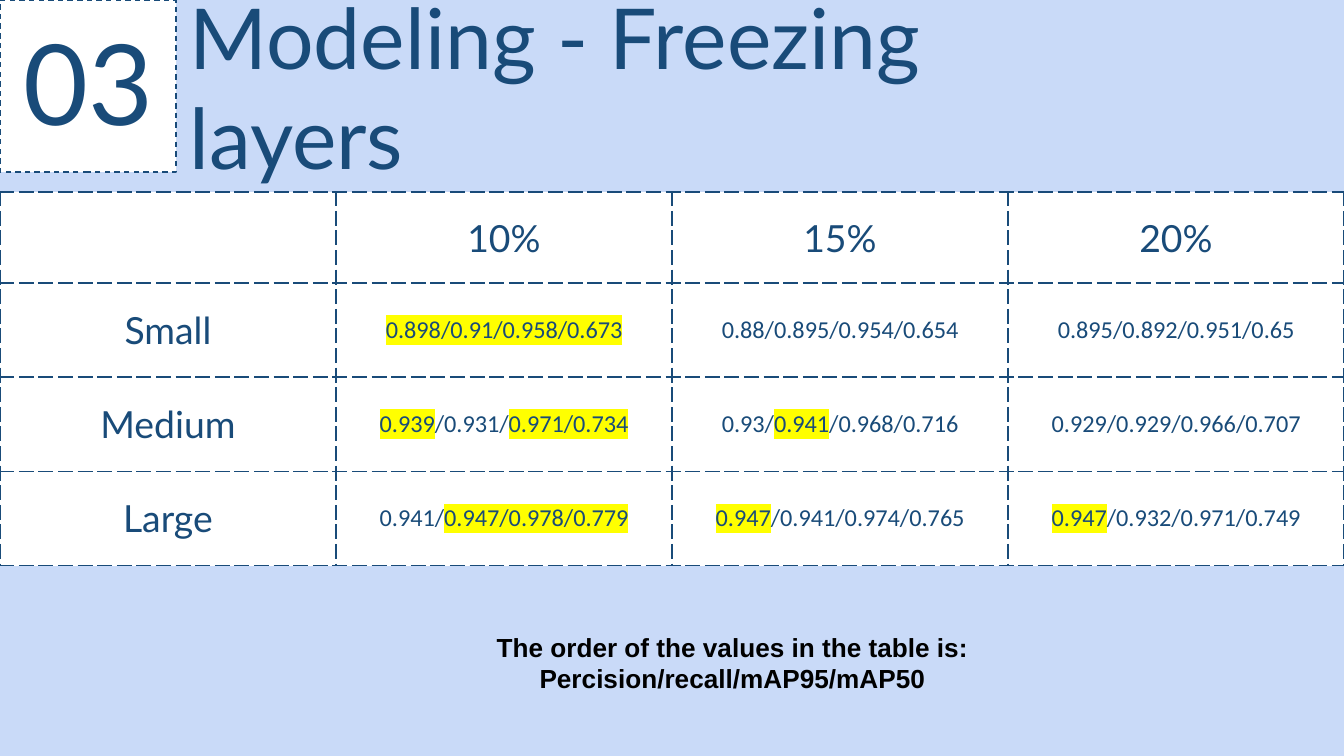
from lxml.etree import SubElement
from pptx import Presentation
from pptx.dml.color import RGBColor
from pptx.enum.dml import MSO_LINE
from pptx.enum.text import MSO_ANCHOR, MSO_AUTO_SIZE, PP_ALIGN
from pptx.oxml import parse_xml
from pptx.oxml.ns import nsdecls, qn
from pptx.util import Cm, Pt

PALE = RGBColor(0xC9, 0xDA, 0xF8)
NAVY = RGBColor(0x19, 0x4B, 0x79)
WHITE = RGBColor(0xFF, 0xFF, 0xFF)
YELLOW = RGBColor(0xFF, 0xFF, 0x00)
BLACK = RGBColor(0x00, 0x00, 0x00)

LABEL = {"size": Pt(20), "name": "Lato"}
VALUE = {"size": Pt(13), "name": "Calibri"}
ROWS = [
    ["", "10%", "15%", "20%"],
    ["Small", "*0.898/0.91/0.958/0.673*", "0.88/0.895/0.954/0.654",
     "0.895/0.892/0.951/0.65"],
    ["Medium", "*0.939*/0.931/*0.971/0.734*", "0.93/*0.941*/0.968/0.716",
     "0.929/0.929/0.966/0.707"],
    ["Large", "0.941/*0.947/0.978/0.779*", "*0.947*/0.941/0.974/0.765",
     "*0.947*/0.932/0.971/0.749"],
]


def set_attrs(obj, values):
    """Set each named attribute of an object."""
    for name, value in values.items():
        setattr(obj, name, value)


def add_run(p, text, color, font):
    """Add a formatted run to a paragraph."""
    r = p.add_run()
    r.text = text
    r.font.color.rgb = color
    set_attrs(r.font, font)
    return r


def highlight(r, color):
    """Put a highlight colour behind a run."""
    fill = r.font._element.find(qn("a:solidFill"))
    fill.addnext(parse_xml(
        f'<a:highlight {nsdecls("a")}><a:srgbClr val="{color}"/></a:highlight>'))


def fill_placeholder(sp, box, text, size, color, align, anchor):
    """Place a placeholder and give it its fill and text."""
    set_attrs(sp, dict(zip(("left", "top", "width", "height"), map(Cm, box))))
    sp.fill.solid()
    sp.fill.fore_color.rgb = color
    tf = sp.text_frame
    set_attrs(tf, {"word_wrap": True, "auto_size": MSO_AUTO_SIZE.NONE,
                   "vertical_anchor": anchor})
    for side in ("left", "right", "top", "bottom"):
        setattr(tf, f"margin_{side}", Cm(0.25))
    p = tf.paragraphs[0]
    set_attrs(p, {"alignment": align, "space_before": Pt(0)})
    add_run(p, text, NAVY, {"size": Pt(size), "name": "Lato"})


def add_borders(cell):
    """Draw dashed borders on all sides of a cell."""
    tc_pr = cell._tc.get_or_add_tcPr()
    for i, side in enumerate(("lnL", "lnR", "lnT", "lnB")):
        ln = parse_xml(f'<a:{side} {nsdecls("a")} w="{Pt(0.95)}"/>')
        fill = SubElement(ln, qn("a:solidFill"))
        SubElement(fill, qn("a:srgbClr"), val=str(NAVY))
        SubElement(ln, qn("a:prstDash"), val="dash")
        tc_pr.insert(i, ln)


def fill_cell(cell, text, font):
    """Format a cell and write its text, with starred parts in yellow."""
    cell.fill.solid()
    cell.fill.fore_color.rgb = WHITE
    add_borders(cell)
    set_attrs(cell, {"vertical_anchor": MSO_ANCHOR.MIDDLE,
                     "margin_left": Cm(0.25), "margin_right": Cm(0.25),
                     "margin_top": Cm(0.18), "margin_bottom": Cm(0.18)})
    p = cell.text_frame.paragraphs[0]
    p.alignment = PP_ALIGN.CENTER
    for i, part in enumerate(text.split("*")):
        if part:
            highlight(add_run(p, part, NAVY, font), YELLOW if i % 2 else WHITE)


def add_results(s):
    """Add the table of results by model size and frozen share."""
    table = s.shapes.add_table(len(ROWS), len(ROWS[0]), Cm(0), Cm(3.63),
                               Cm(25.4), Cm(7.04)).table
    set_attrs(table, {"first_row": False, "horz_banding": False})
    for i, row in enumerate(ROWS):
        table.rows[i].height = Cm(1.78 if i else 1.72)
        for j, text in enumerate(row):
            fill_cell(table.cell(i, j), text, VALUE if i and j else LABEL)


def add_note(s):
    """Add the note on the order of the values."""
    tf = s.shapes.add_textbox(Cm(8.56), Cm(11.81), Cm(10.57), Cm(1.45)).text_frame
    set_attrs(tf, {"word_wrap": True, "auto_size": MSO_AUTO_SIZE.SHAPE_TO_FIT_TEXT})
    p = tf.paragraphs[0]
    p.alignment = PP_ALIGN.CENTER
    add_run(p, "The order of the values in the table is: Percision/recall/mAP95/mAP50",
            BLACK, {"size": Pt(14), "name": "Arial", "bold": True})


def main():
    """Build and save the slide."""
    prs = Presentation()
    set_attrs(prs, {"slide_width": Cm(25.4), "slide_height": Cm(14.29)})
    s = prs.slides.add_slide(prs.slide_layouts[0])
    s.background.fill.solid()
    s.background.fill.fore_color.rgb = PALE
    title, number = s.placeholders
    fill_placeholder(title, (3.33, 0, 18.67, 3.25), "Modeling - Freezing layers",
                     45, PALE, PP_ALIGN.LEFT, MSO_ANCHOR.MIDDLE)
    fill_placeholder(number, (0, 0, 3.33, 3.25), "03",
                     60, WHITE, PP_ALIGN.CENTER, MSO_ANCHOR.TOP)
    number.line.color.rgb = NAVY
    set_attrs(number.line, {"width": Pt(0.75), "dash_style": MSO_LINE.DASH})
    add_results(s)
    add_note(s)
    prs.save("out.pptx")


if __name__ == "__main__":
    main()
